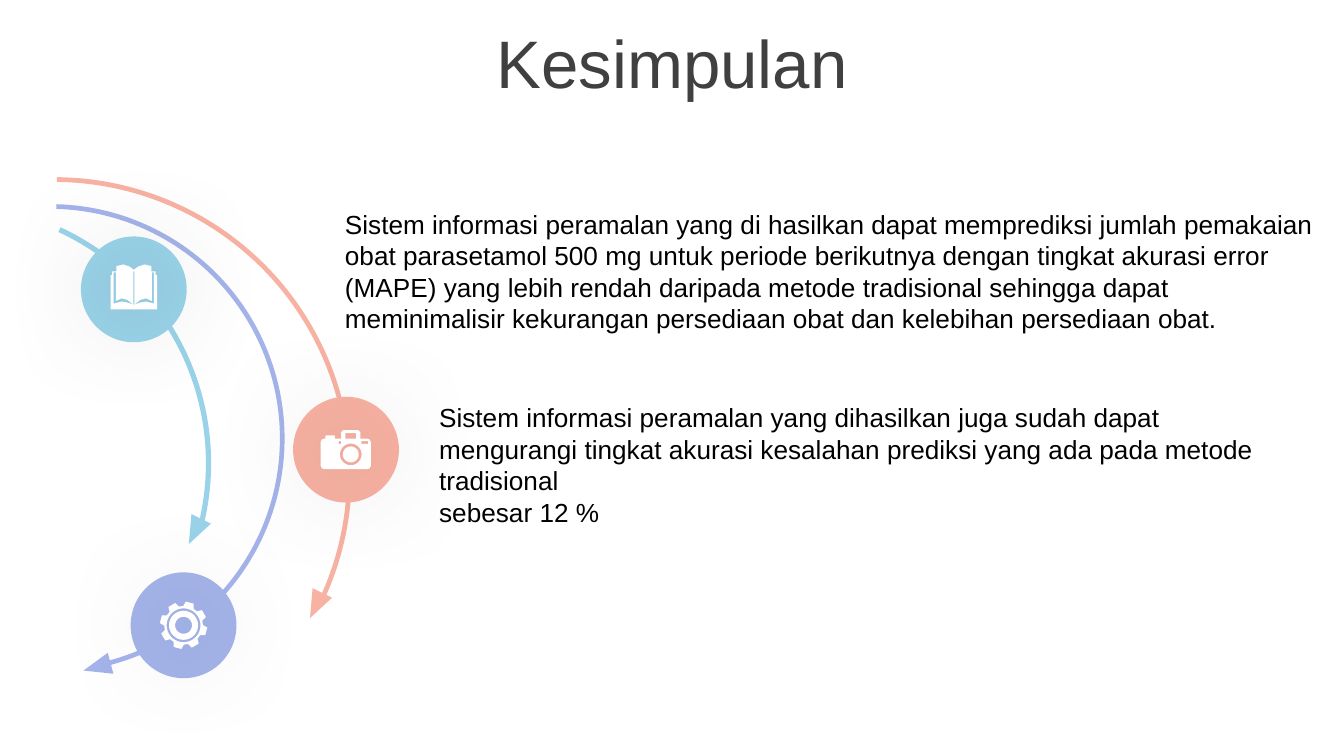
import math

from lxml import etree
from pptx import Presentation
from pptx.dml.color import RGBColor
from pptx.enum.shapes import MSO_SHAPE
from pptx.enum.text import MSO_ANCHOR, MSO_AUTO_SIZE, PP_ALIGN
from pptx.oxml.ns import qn
from pptx.util import Cm, Pt

OVAL, ARC, TRIANGLE = MSO_SHAPE.OVAL, MSO_SHAPE.BLOCK_ARC, MSO_SHAPE.ISOSCELES_TRIANGLE
MIDDLE, CENTER = MSO_ANCHOR.MIDDLE, PP_ALIGN.CENTER
GROW = MSO_AUTO_SIZE.SHAPE_TO_FIT_TEXT

FONT = "Arial"
BLUE, PURPLE, ORANGE, WHITE = "9AD3E9", "A4B4EA", "F8B2A3", "FFFFFF"


def paint(shape, color):
    shape.shadow.inherit = False
    shape.fill.solid()
    shape.fill.fore_color.rgb = RGBColor.from_string(color)
    shape.line.fill.background()


def ring(x, y, radius):
    angles = [math.radians(a) for a in range(0, 360, 10)]
    return [(x + radius * math.cos(a), y + radius * math.sin(a)) for a in angles]


prs = Presentation()
prs.slide_width, prs.slide_height = Cm(25.4), Cm(14.29)
slide = prs.slides.add_slide(prs.slide_layouts[5])
shapes = slide.shapes

# Title
title = shapes.title
title.left, title.top, title.width, title.height = Cm(0), Cm(0.36), Cm(25.4), Cm(1.6)
title.text_frame.text = "Kesimpulan"
title.text_frame.vertical_anchor = MIDDLE
heading = title.text_frame.paragraphs[0]
heading.alignment = CENTER
heading.font.name, heading.font.size = FONT, Pt(36)
heading.font.color.rgb = RGBColor.from_string("404040")

# Discs behind the icons: centre in cm
discs = {PURPLE: (3.47, 11.82), BLUE: (2.53, 5.47), ORANGE: (6.54, 8.5)}
for color, (x, y) in discs.items():
    paint(shapes.add_shape(OVAL, Cm(x - 1), Cm(y - 1), Cm(2), Cm(2)), color)

# Curved arrows: arc left, top, size, start and end angle, thickness; head left, top, turn
curves = [
    (PURPLE, -3.48, 3.86, 8.86, 271.51, 76.28, 0.01, 1.63, 12.34, 255),
    (ORANGE, -4.6, 3.35, 11.25, 270.55, 23.84, 0.008, 5.77, 11.18, 206.2),
    (BLUE, -5.84, 3.84, 9.83, 294.91, 14.16, 0.01, 3.48, 9.78, 206.2),
]
for color, left, top, size, start, end, thickness, head_left, head_top, turn in curves:
    arc = shapes.add_shape(ARC, Cm(left), Cm(top), Cm(size), Cm(size))
    # Angles are stored in 60000ths of a degree, adjustments in 100000ths
    for i, value in enumerate((start * 0.6, end * 0.6, thickness)):
        arc.adjustments[i] = value
    paint(arc, color)
    head = shapes.add_shape(TRIANGLE, Cm(head_left), Cm(head_top), Cm(0.41), Cm(0.53))
    head.rotation = turn
    paint(head, color)

# Icon contours in mm from the disc centre; inner contours are holes
book_half = [(0, -3.7), (0.8, -4.3), (2, -4.7), (3.3, -4.4), (3.3, -3.4),
             (4.1, -3.4), (4.1, -2.7), (4.4, -2.7), (4.4, 3.8)]
page_edge = [(3.8, -3.2), (3.4, -3.2), (3.4, 2.2), (2.3, 1.7), (1.2, 2),
             (0.1, 2.9), (1.2, 2.5), (2.3, 2.3), (3.8, 2.7)]
spine = [(-0.1, -3.4), (0.1, -3.4), (0.1, 2.9), (-0.1, 2.9)]
book = [book_half + [(-x, y) for x, y in reversed(book_half)],
        page_edge, [(-x, y) for x, y in page_edge], spine]

gear_edge = []
for tooth in range(8):
    for offset, radius in ((-16, 3.65), (-9.7, 4.5), (9.7, 4.5), (16, 3.65)):
        angle = math.radians(tooth * 45 - 75 + offset)
        gear_edge.append((radius * math.cos(angle), radius * math.sin(angle)))
gear = [gear_edge] + [ring(0, 0, radius) for radius in (3.2, 2.75, 1.6)]

camera_body = [
    (-4.8, -1.4), (-4.6, -1.9), (-4.1, -2.1), (-3.9, -2.1), (-3.9, -2.6), (-3.7, -2.7),
    (-2.3, -2.7), (-2.1, -2.6), (-2.1, -2.1), (-0.9, -2.1), (-0.9, -3.3), (-0.5, -3.7),
    (2.3, -3.7), (2.7, -3.3), (2.7, -2.1), (4, -2.1), (4.5, -1.9), (4.7, -1.4),
    (4.7, 3), (4.5, 3.5), (4, 3.7), (-4.1, 3.7), (-4.6, 3.5), (-4.8, 3)]
openings = [(-1.4, -1.6, -0.9, -1.1), (2.9, -1.6, 4.2, -1.1), (-0.1, -3.1, 1.9, -2.1)]
camera = [camera_body, ring(0.9, 0.9, 2.05), ring(0.9, 0.9, 1.5)]
camera += [[(x1, y1), (x2, y1), (x2, y2), (x1, y2)] for x1, y1, x2, y2 in openings]

# Icons with a soft shadow
for color, contours in ((BLUE, book), (PURPLE, gear), (ORANGE, camera)):
    outlines = [[(x * 100, y * 100) for x, y in contour] for contour in contours]
    builder = shapes.build_freeform(*outlines[0][0], scale=Cm(0.001))
    builder.add_line_segments(outlines[0][1:], close=True)
    for outline in outlines[1:]:
        builder.move_to(*outline[0])
        builder.add_line_segments(outline[1:], close=True)
    x, y = discs[color]
    icon = builder.convert_to_shape(Cm(x), Cm(y))
    paint(icon, WHITE)
    effects = icon._element.spPr.find(qn("a:effectLst"))
    shadow = etree.SubElement(effects, qn("a:outerShdw"), blurRad=str(Pt(63)),
                              dist="0", dir="0", algn="ctr", rotWithShape="0")
    black = etree.SubElement(shadow, qn("a:srgbClr"), val="000000")
    etree.SubElement(black, qn("a:alpha"), val="40000")

# Conclusions
conclusions = [
    (6.27, 3.81, 18.85, 2.64, [
        "Sistem informasi peramalan yang di hasilkan dapat memprediksi jumlah pemakaian "
        "obat parasetamol 500 mg untuk periode berikutnya dengan tingkat akurasi error",
        "(MAPE) yang lebih rendah daripada metode tradisional sehingga dapat",
        "meminimalisir kekurangan persediaan obat dan kelebihan persediaan obat."]),
    (8.05, 7.47, 16.84, 2.06, [
        "Sistem informasi peramalan yang dihasilkan juga sudah dapat mengurangi tingkat "
        "akurasi kesalahan prediksi yang ada pada metode tradisional",
        "sebesar 12 %"]),
]
for left, top, width, height, lines in conclusions:
    frame = shapes.add_textbox(Cm(left), Cm(top), Cm(width), Cm(height)).text_frame
    frame.word_wrap = True
    frame.auto_size = GROW
    frame.text = "\n".join(lines)
    for paragraph in frame.paragraphs:
        paragraph.font.name, paragraph.font.size = FONT, Pt(14)
        paragraph.font.color.rgb = RGBColor.from_string("000000")

prs.save("out.pptx")
